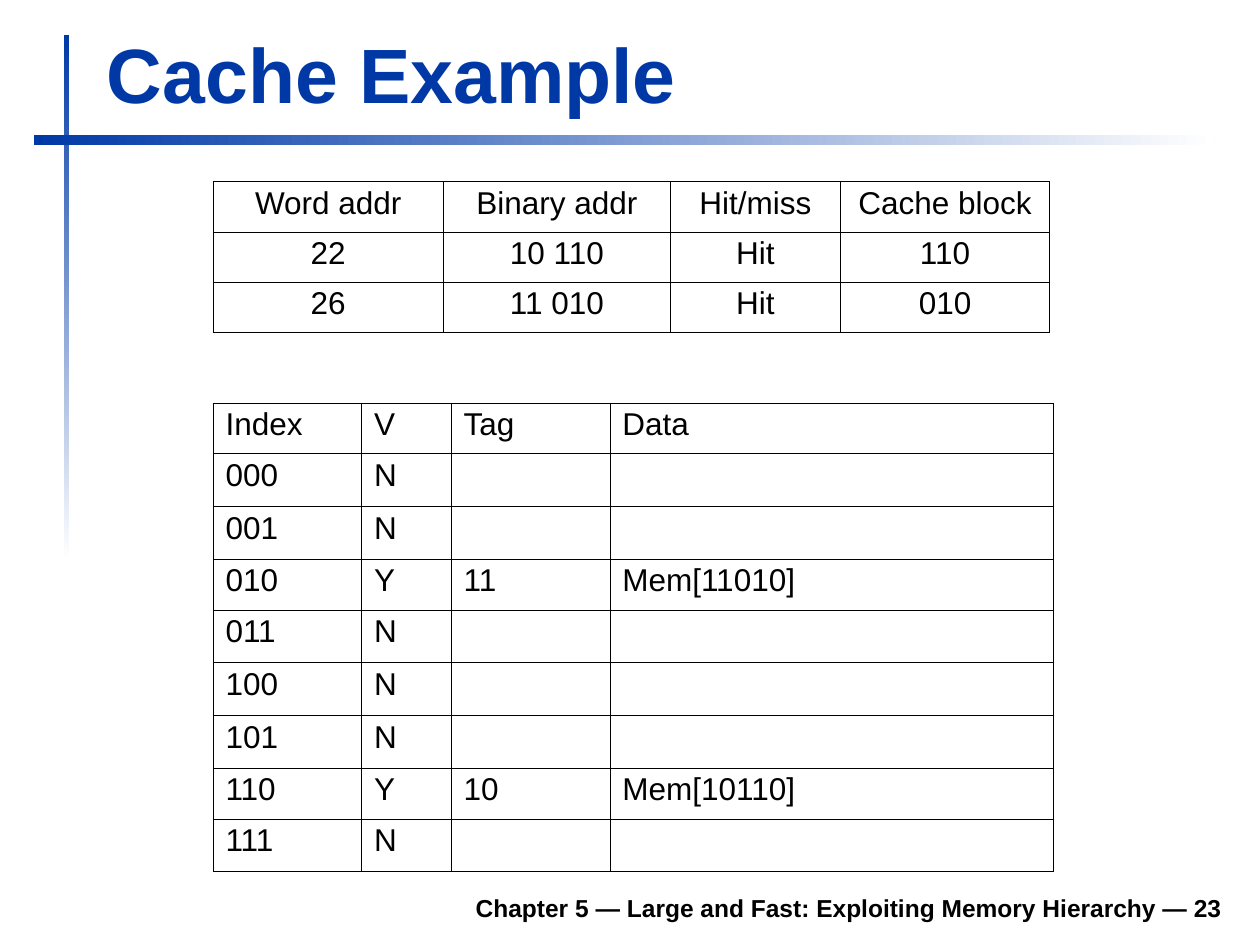
from lxml import etree
from pptx import Presentation
from pptx.dml.color import RGBColor
from pptx.enum.shapes import MSO_SHAPE
from pptx.enum.text import MSO_ANCHOR, PP_ALIGN
from pptx.oxml.ns import qn
from pptx.util import Inches, Pt

RECT = MSO_SHAPE.RECTANGLE
BOTTOM = MSO_ANCHOR.BOTTOM
LEFT, CENTER, RIGHT = PP_ALIGN.LEFT, PP_ALIGN.CENTER, PP_ALIGN.RIGHT

COLORS = {"blue": "0039A6", "white": "FFFFFF", "black": "000000"}
FONT = "Arial"
EDGE, HEAD, THIN = 0.5, 0.34, 0.23  # table rules, in points


def rgb(name):
    return RGBColor.from_string(COLORS[name])


class Deck:
    """Holds the presentation, its style and the current slide."""

    def __init__(self):
        self.prs = Presentation()
        self.prs.slide_width, self.prs.slide_height = Inches(10), Inches(7.5)
        self.slide = self.prs.slides.add_slide(self.prs.slide_layouts[6])

    def bar(self, box, angle):
        """Add a bar that fades from blue to white; angle is counter-clockwise."""
        bar = self.slide.shapes.add_shape(RECT, *map(Inches, box))
        bar.shadow.inherit = False
        bar.line.fill.background()
        bar.fill.gradient()
        bar.fill.gradient_angle = angle
        for stop, color in zip(bar.fill.gradient_stops, ("blue", "white")):
            stop.color.rgb = rgb(color)

    def run(self, para, text, size, color="black", bold=False, align=LEFT):
        para.alignment = align
        run = para.add_run()
        run.text = text
        font = run.font
        font.name, font.size, font.bold = FONT, Pt(size), bold
        font.color.rgb = rgb(color)

    def text(self, box, text, size, color, align):
        frame = self.slide.shapes.add_textbox(*map(Inches, box)).text_frame
        frame.word_wrap = True
        frame.vertical_anchor = BOTTOM
        self.run(frame.paragraphs[0], text, size, color, True, align)

    def border(self, cell, widths):
        """Draw the left, right, top and bottom rules of a cell."""
        props = cell._tc.get_or_add_tcPr()
        for spot, (side, width) in enumerate(zip("LRTB", widths)):
            line = etree.Element(qn(f"a:ln{side}"), w=str(int(Pt(width))))
            fill = etree.SubElement(line, qn("a:solidFill"))
            etree.SubElement(fill, qn("a:srgbClr"), val=COLORS["black"])
            props.insert(spot, line)

    def table(self, left, top, cols, rows, align, body):
        """Add a grid; body is the width of the rules between data rows."""
        highs = [0.42 if "" in row else 0.4 for row in rows]
        box = map(Inches, (left, top, sum(cols), sum(highs)))
        grid = self.slide.shapes.add_table(len(rows), len(cols), *box).table
        grid.first_row = grid.horz_banding = False
        for col, width in zip(grid.columns, cols):
            col.width = Inches(width)
        for row, high in zip(grid.rows, highs):
            row.height = Inches(high)
        across = [EDGE, HEAD] + [body] * (len(rows) - 2) + [EDGE]
        down = [EDGE] + [THIN] * (len(cols) - 1) + [EDGE]
        for r, row in enumerate(rows):
            for c, text in enumerate(row):
                cell = grid.cell(r, c)
                cell.fill.background()
                self.border(cell, down[c:c + 2] + across[r:r + 2])
                if text:
                    para = cell.text_frame.paragraphs[0]
                    para.line_spacing = 0.93
                    self.run(para, text, 18, align=align)


def main():
    deck = Deck()
    deck.bar((0.51, 0.28, 0.04, 4.17), 270)
    deck.bar((0.27, 1.07, 9.37, 0.08), 0)
    deck.text((1.85, 6.98, 7.95, 0.39),
              "Chapter 5 — Large and Fast: Exploiting Memory Hierarchy — 23",
              14, "black", RIGHT)
    deck.text((0.75, 0.16, 9.03, 0.83), "Cache Example", 44, "blue", LEFT)

    held = {"010": "11", "110": "10"}  # tag of each valid block
    blocks = [("Index", "V", "Tag", "Data")]
    for num in range(8):
        index = f"{num:03b}"
        tag = held.get(index)
        blocks.append((index, "Y", tag, f"Mem[{tag}{index}]") if tag
                      else (index, "N", "", ""))
    deck.table(1.69, 3.2, (1.18, 0.71, 1.26, 3.52), blocks, LEFT, THIN)

    hits = [("Word addr", "Binary addr", "Hit/miss", "Cache block"),
            ("22", "10 110", "Hit", "110"),
            ("26", "11 010", "Hit", "010")]
    deck.table(1.69, 1.44, (1.83, 1.8, 1.35, 1.66), hits, CENTER, HEAD)
    deck.prs.save("out.pptx")


if __name__ == "__main__":
    main()
